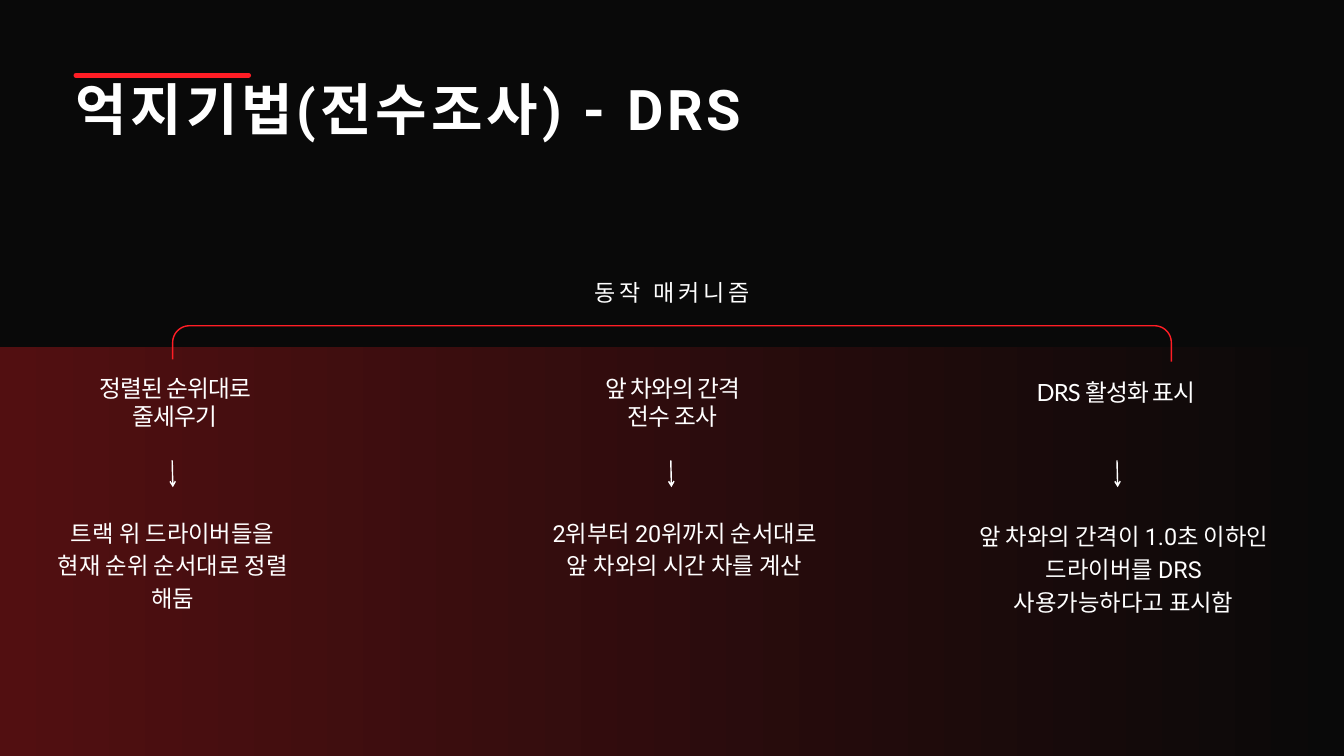
from math import cos, pi, sin

from pptx import Presentation
from pptx.dml.color import RGBColor
from pptx.enum.shapes import MSO_CONNECTOR as Connector, MSO_SHAPE as Shape
from pptx.enum.text import MSO_ANCHOR as Anchor, MSO_AUTO_SIZE as AutoSize, PP_ALIGN as Align
from pptx.oxml.ns import qn
from pptx.util import Pt

BLACK = RGBColor(0x09, 0x09, 0x09)
DARK_RED = RGBColor(0x52, 0x0F, 0x11)
RED = RGBColor(0xFF, 0x1D, 0x25)
WHITE = RGBColor(0xFF, 0xFF, 0xFF)

PAGE_WIDTH, PAGE_HEIGHT = 1440, 810
GLOW_TOP = 372.2
ARROW_TOP, ARROW_BOTTOM = 493.2, 522

STEPS = [
    {
        "heading": ("정렬된 순위대로 줄세우기", 95, 402, 185, 59),
        "arrow": 184.5,
        "detail": ("트랙 위 드라이버들을 현재 순위 순서대로 정렬 해둠", 52, 551, 266, 102),
    },
    {
        "heading": ("앞 차와의 간격 전수 조사", 636.5, 402, 168, 59),
        "arrow": 718.7,
        "detail": ("2위부터 20위까지 순서대로 앞 차와의 시간 차를 계산", 587, 551, 293, 102),
    },
    {
        "heading": ("DRS 활성화 표시", 1104.5, 406, 183, 30),
        "arrow": 1196.8,
        "detail": ("앞 차와의 간격이 1.0초 이하인 드라이버를 DRS 사용가능하다고 표시함", 1049, 555, 310, 102),
    },
]


class SlideStyle:
    def __init__(self, page):
        self.page = page
        self.color = WHITE

    def background(self, color):
        fill = self.page.background.fill
        fill.solid()
        fill.fore_color.rgb = color

    def glow(self, left, top, width, height, start, end):
        band = self.page.shapes.add_shape(
            Shape.RECTANGLE, Pt(left), Pt(top), Pt(width), Pt(height))
        band.shadow.inherit = False
        band.line.fill.background()
        band.fill.gradient()
        band.fill.gradient_angle = 0
        for stop, color in zip(band.fill.gradient_stops, (start, end)):
            stop.color.rgb = color

    def set_text(self, box, text, size, leading, font="Roboto", spacing=0,
                 bold=False, align=Align.CENTER):
        frame = box.text_frame
        frame.word_wrap = True
        frame.auto_size = AutoSize.NONE
        frame.vertical_anchor = Anchor.TOP
        frame.margin_left = frame.margin_right = 0
        frame.margin_top = frame.margin_bottom = 0
        para = frame.paragraphs[0]
        para.alignment = align
        para.line_spacing = Pt(leading)
        para.space_before = Pt(0)
        para.font.name = font
        para.font.size = Pt(size)
        para.font.bold = bold
        para.font.color.rgb = self.color
        span = para.add_run()
        span.text = text
        if spacing:
            span._r.get_or_add_rPr().set("spc", str(round(spacing * 100)))

    def title(self, text, left, top, width, height, **style):
        box = self.page.shapes.title
        box.left, box.top = Pt(left), Pt(top)
        box.width, box.height = Pt(width), Pt(height)
        self.set_text(box, text, align=Align.LEFT, **style)

    def text(self, text, left, top, width, height, **style):
        box = self.page.shapes.add_textbox(Pt(left), Pt(top), Pt(width), Pt(height))
        self.set_text(box, text, **style)

    def line(self, start, end, color, width, arrow=False, rounded=False):
        line = self.page.shapes.add_connector(
            Connector.STRAIGHT, *(Pt(value) for value in (*start, *end)))
        line.line.color.rgb = color
        line.line.width = Pt(width)
        properties = line._element.spPr
        outline = properties.find(qn("a:ln"))
        if rounded:
            outline.set("cap", "rnd")
        if arrow:
            outline.append(outline.makeelement(qn("a:tailEnd"), {"type": "arrow"}))
        properties.append(properties.makeelement(qn("a:effectLst"), {}))

    def bracket(self, left, right, top, left_end, right_end, radius, color, width):
        angles = [step * pi / 24 for step in range(13)]
        points = [(left + radius - radius * cos(angle), top + radius - radius * sin(angle))
                  for angle in angles]
        points += [(right - radius + radius * sin(angle), top + radius - radius * cos(angle))
                   for angle in angles]
        points.append((right, right_end))
        builder = self.page.shapes.build_freeform(Pt(left), Pt(left_end))
        builder.add_line_segments([(Pt(x), Pt(y)) for x, y in points], close=False)
        shape = builder.convert_to_shape()
        shape.shadow.inherit = False
        shape.fill.background()
        shape.line.color.rgb = color
        shape.line.width = Pt(width)


def main():
    deck = Presentation()
    deck.slide_width, deck.slide_height = Pt(PAGE_WIDTH), Pt(PAGE_HEIGHT)
    slide = SlideStyle(deck.slides.add_slide(deck.slide_layouts[5]))

    slide.background(BLACK)
    slide.glow(0, GLOW_TOP, PAGE_WIDTH, PAGE_HEIGHT - GLOW_TOP, DARK_RED, BLACK)
    slide.title("억지기법(전수조사) - DRS", 80.6, 92.2, 1021.7, 77,
                size=60, leading=60, spacing=4.2, bold=True)
    slide.line((81.4, 80.6), (266.4, 80.6), RED, 5.25, rounded=True)
    slide.text("동작 매커니즘", 427, 298, 586, 34.6, size=24.7, leading=29.6, spacing=4.2)
    slide.bracket(185, 1255, 349, 385, 387.4, 18, RED, 1.5)

    for step in STEPS:
        slide.text(*step["heading"], size=25.4, leading=29.4, font="Lato", spacing=-1)
        x = step["arrow"]
        slide.line((x, ARROW_TOP), (x + 0.7, ARROW_BOTTOM), WHITE, 1.5, arrow=True)
        slide.text(*step["detail"], size=25, leading=35)

    deck.save("out.pptx")


if __name__ == "__main__":
    main()
